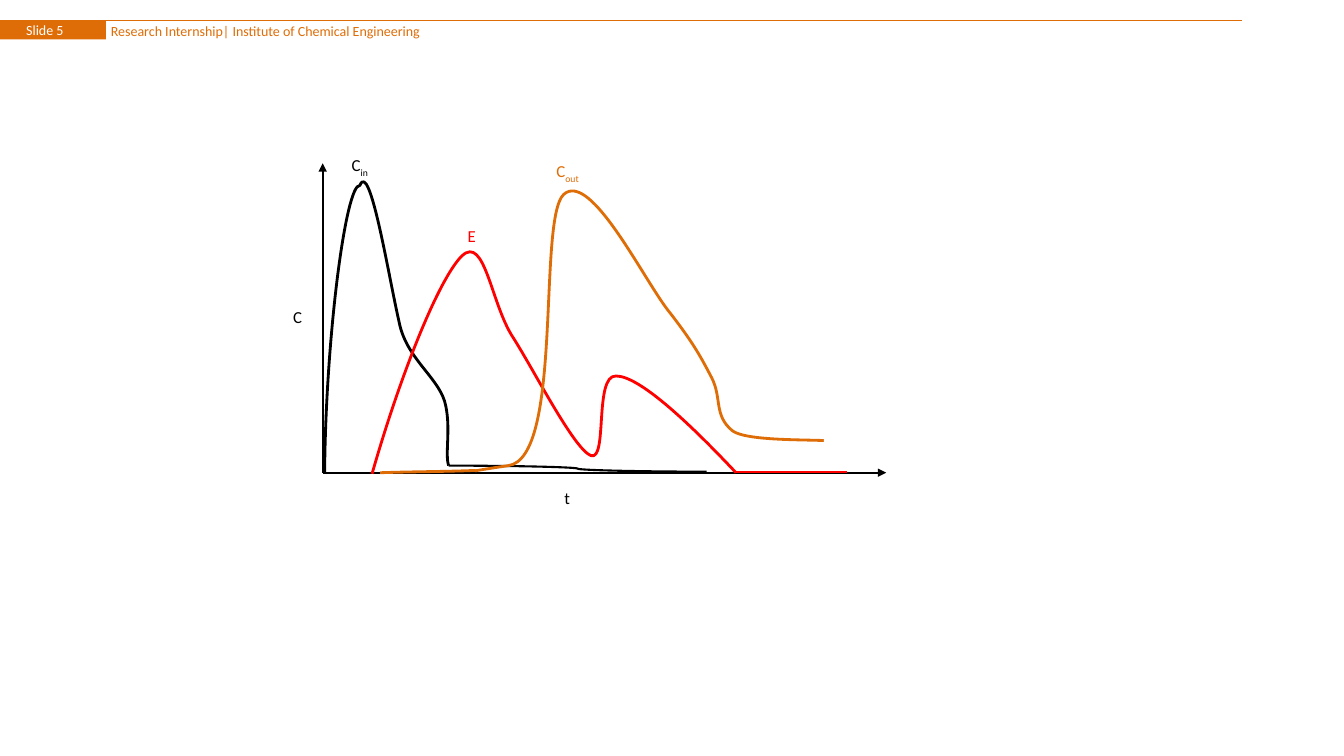
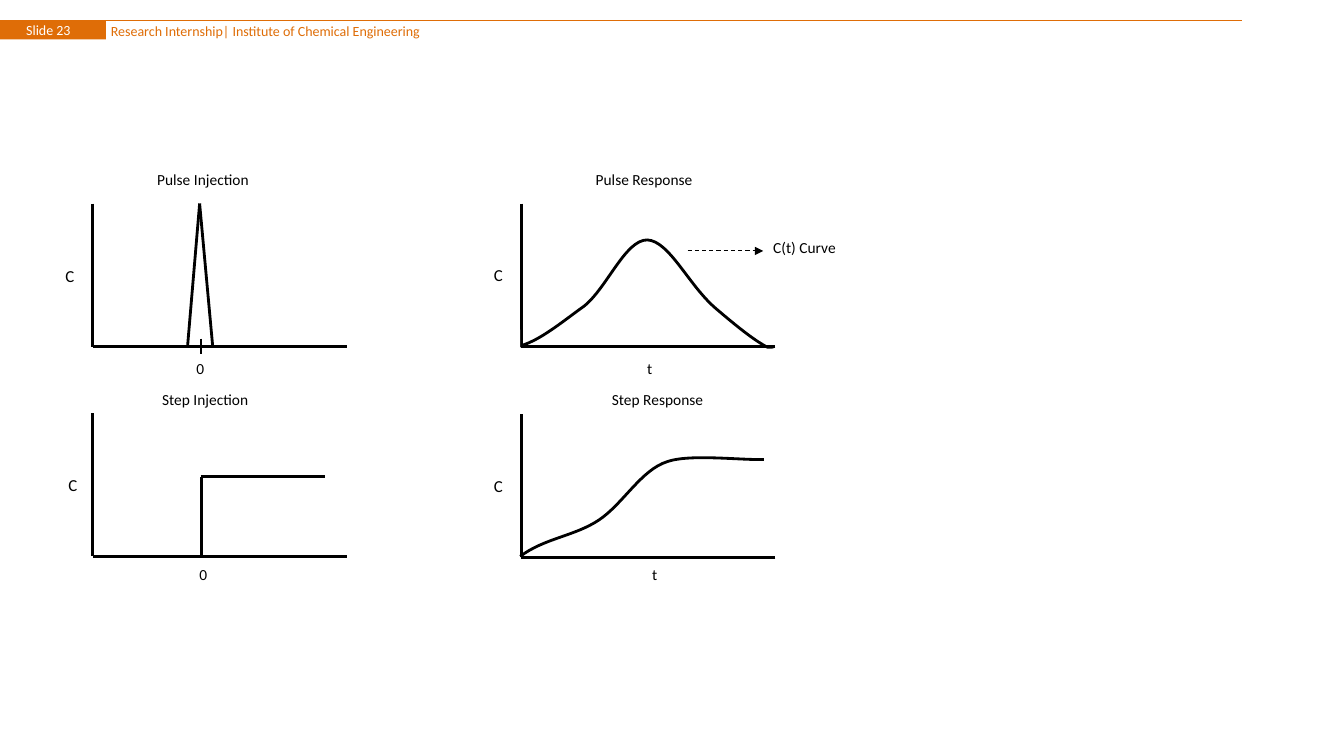
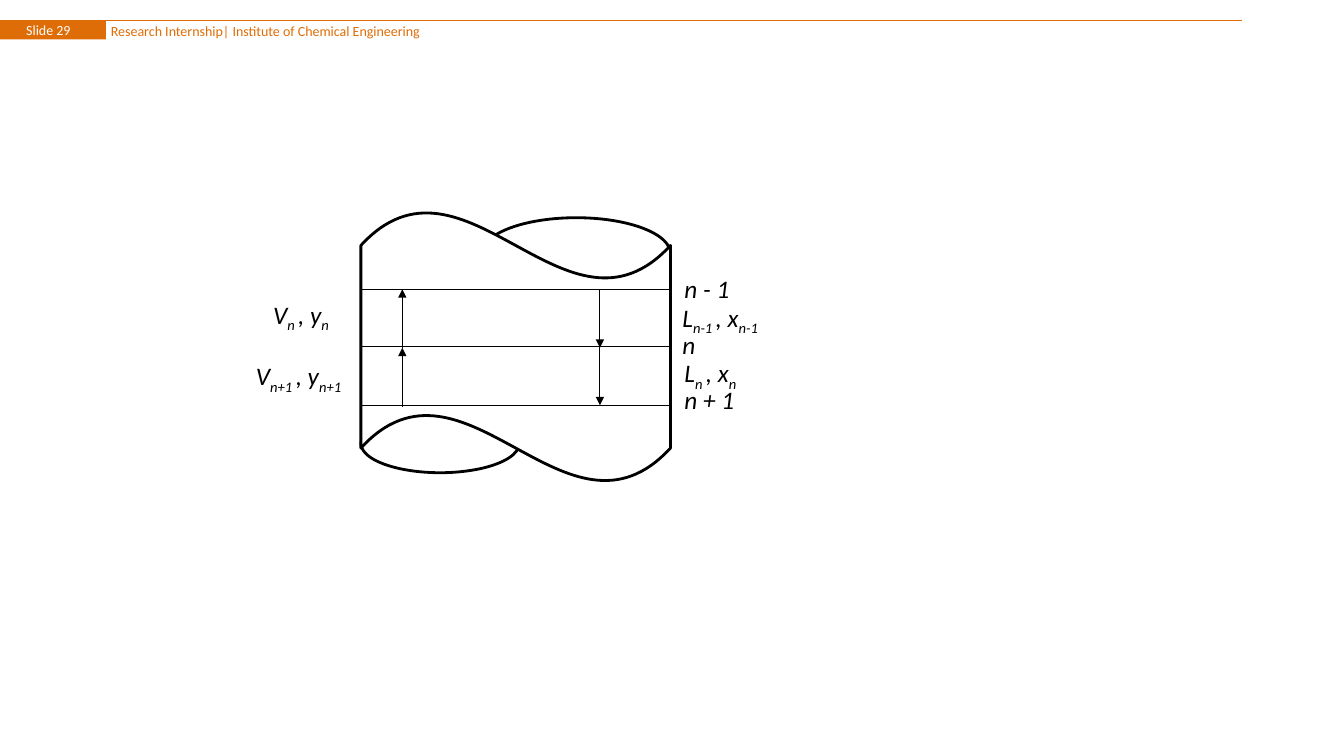
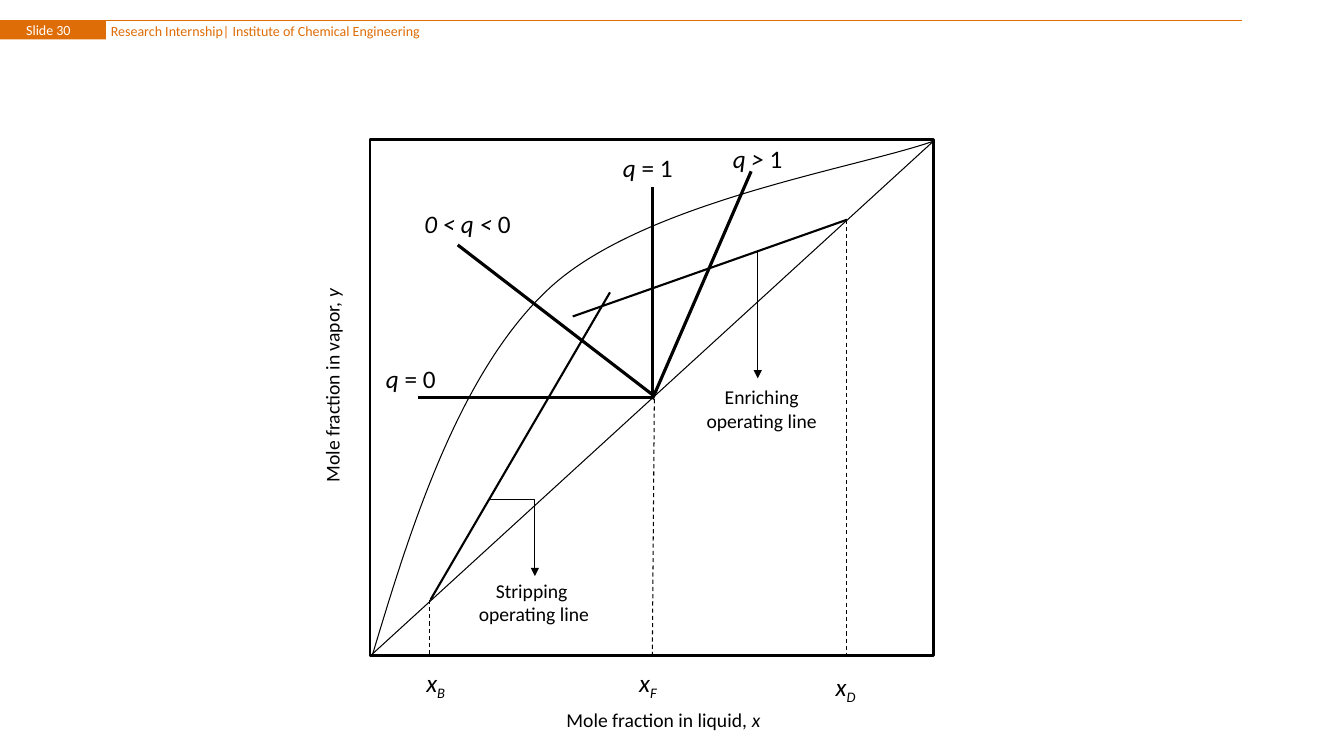
from dataclasses import dataclass
from typing import Optional, Sequence, Tuple, Union

from lxml.etree import SubElement
from pptx import Presentation
from pptx.dml.color import RGBColor
from pptx.enum.dml import MSO_LINE
from pptx.enum.shapes import MSO_CONNECTOR, MSO_SHAPE
from pptx.enum.text import MSO_AUTO_SIZE, PP_ALIGN
from pptx.oxml.ns import qn
from pptx.shapes.connector import Connector
from pptx.slide import Slide
from pptx.util import Pt

EMU_PER_PX = 9144  # 100 px to the inch
CURVE_STEPS = 24

Point = Tuple[int, int]
Bezier = Tuple[Point, Point, Point]
Box = Tuple[int, int, int, int]


@dataclass(frozen=True)
class Theme:
    font: str = "Calibri"
    accent: RGBColor = RGBColor(0xDF, 0x6D, 0x07)
    ink: RGBColor = RGBColor(0, 0, 0)
    red: RGBColor = RGBColor(0xFF, 0, 0)
    paper: RGBColor = RGBColor(0xFF, 0xFF, 0xFF)
    header_size: int = 10
    caption_size: int = 11
    axis_size: int = 12
    note_size: int = 14
    symbol_size: int = 18
    hairline: float = 0.75
    medium: float = 1.5
    heavy: float = 2
    bold: float = 2.25


THEME = Theme()


@dataclass(frozen=True)
class Run:
    text: str
    sub: bool = False
    italic: bool = False


Content = Union[str, Sequence[Run]]


@dataclass(frozen=True)
class Label:
    content: Content
    box: Box
    size: int = THEME.axis_size
    color: RGBColor = THEME.ink


@dataclass(frozen=True)
class Line:
    start: Point
    end: Point
    width: float = THEME.hairline
    color: RGBColor = THEME.ink
    arrow: bool = False
    dashed: bool = False
    kind: MSO_CONNECTOR = MSO_CONNECTOR.STRAIGHT


@dataclass(frozen=True)
class Curve:
    start: Point
    beziers: Sequence[Bezier]
    width: float = THEME.heavy
    color: RGBColor = THEME.ink


def px(length: float) -> int:
    return round(length * EMU_PER_PX)


def symbol(*parts: str) -> Sequence[Run]:
    """Italic runs that alternate between base line and subscript."""
    return [Run(part, sub=i % 2 == 1, italic=True) for i, part in enumerate(parts)]


# Drawing functions
def add_text(slide: Slide, content: Content, box: Box, *, size: int = THEME.axis_size,
             color: RGBColor = THEME.ink, align: Optional[PP_ALIGN] = None,
             wrap: bool = False, inset: Optional[int] = None, rotation: int = 0) -> None:
    text_box = slide.shapes.add_textbox(*map(px, box))
    text_box.rotation = rotation
    frame = text_box.text_frame
    frame.word_wrap = wrap
    frame.auto_size = MSO_AUTO_SIZE.SHAPE_TO_FIT_TEXT
    if inset is not None:
        frame.margin_left = frame.margin_right = px(inset)
        frame.margin_top = frame.margin_bottom = px(inset)
    if isinstance(content, str):
        lines = [[Run(line)] for line in content.split("\n")]
    else:
        lines = [content]
    for index, line in enumerate(lines):
        paragraph = frame.add_paragraph() if index else frame.paragraphs[0]
        paragraph.alignment = align
        for part in line:
            run = paragraph.add_run()
            run.text = part.text
            run.font.name = THEME.font
            run.font.size = Pt(size)
            run.font.color.rgb = color
            run.font.italic = part.italic
            if part.sub:
                run.font._element.set("baseline", "-25000")


def add_labels(slide: Slide, labels: Sequence[Label]) -> None:
    for label in labels:
        add_text(slide, label.content, label.box, size=label.size, color=label.color)


def add_line(slide: Slide, line: Line) -> Connector:
    connector = slide.shapes.add_connector(line.kind, *map(px, line.start + line.end))
    connector.line.color.rgb = line.color
    connector.line.width = Pt(line.width)
    if line.dashed:
        connector.line.dash_style = MSO_LINE.DASH
    if line.arrow:
        SubElement(connector.line._get_or_add_ln(), qn("a:tailEnd"), type="triangle")
    SubElement(connector._element.spPr, qn("a:effectLst"))
    return connector


def add_lines(slide: Slide, lines: Sequence[Line]) -> None:
    for line in lines:
        add_line(slide, line)


def add_turned_elbow(slide: Slide, box: Box, *, degrees: int, bend: int,
                     flipped: bool = False) -> None:
    """Elbow arrow in a turned box; bend is in thousandths of its length."""
    left, top, width, height = box
    elbow = add_line(slide, Line((left, top), (left + width, top + height),
                                 arrow=True, kind=MSO_CONNECTOR.ELBOW))
    properties = elbow._element.spPr
    frame = properties.find(qn("a:xfrm"))
    frame.set("rot", str(degrees * 60000))
    if flipped:
        frame.set("flipH", "1")
    adjustments = properties.find(qn("a:prstGeom")).get_or_add_avLst()
    SubElement(adjustments, qn("a:gd"), name="adj1", fmla=f"val {bend * 100}")


def add_box(slide: Slide, kind: MSO_SHAPE, box: Box, *, fill: RGBColor = THEME.paper,
            outline: Optional[float] = None) -> None:
    shape = slide.shapes.add_shape(kind, *map(px, box))
    shape.shadow.inherit = False
    shape.fill.solid()
    shape.fill.fore_color.rgb = fill
    if outline is None:
        shape.line.fill.background()
    else:
        shape.line.color.rgb = THEME.ink
        shape.line.width = Pt(outline)


def bezier_point(corners: Sequence[Point], t: float) -> Tuple[int, int]:
    weights = ((1 - t) ** 3, 3 * t * (1 - t) ** 2, 3 * t ** 2 * (1 - t), t ** 3)
    x, y = (px(sum(w * c[axis] for w, c in zip(weights, corners))) for axis in (0, 1))
    return x, y


def add_curve(slide: Slide, curve: Curve) -> None:
    # Sampled points give the tight frame of the curve
    samples = []
    start = curve.start
    for bezier in curve.beziers:
        corners = (start, *bezier)
        samples += [bezier_point(corners, step / CURVE_STEPS)
                    for step in range(1, CURVE_STEPS + 1)]
        start = bezier[-1]
    builder = slide.shapes.build_freeform(px(curve.start[0]), px(curve.start[1]))
    builder.add_line_segments(samples, close=False)
    shape = builder.convert_to_shape()
    # Inside that frame the segments become true cubic curves
    route = next(shape._element.iter(qn("a:path")))
    for segment in route.findall(qn("a:lnTo")):
        route.remove(segment)
    for bezier in curve.beziers:
        cubic = SubElement(route, qn("a:cubicBezTo"))
        for x, y in bezier:
            SubElement(cubic, qn("a:pt"), x=str(px(x) - shape.left),
                       y=str(px(y) - shape.top))
    shape.shadow.inherit = False
    shape.fill.background()
    shape.line.color.rgb = curve.color
    shape.line.width = Pt(curve.width)


def add_header(slide: Slide, number: int) -> None:
    add_line(slide, Line((0, 20), (1232, 20), color=THEME.accent))
    add_box(slide, MSO_SHAPE.RECTANGLE, (0, 20, 105, 19), fill=THEME.accent)
    add_text(slide, "Research Internship| Institute of Chemical Engineering",
             (110, 22, 880, 17), size=THEME.header_size, color=THEME.accent,
             wrap=True, inset=0)
    add_text(slide, f"Slide {number}", (26, 21, 82, 17), size=THEME.header_size,
             color=THEME.paper, wrap=True, inset=0)


# Concentration signals over time
def draw_signals(slide: Slide) -> None:
    origin = (320, 469)
    inlet = Curve((322, 470), [
        ((323, 335), (343, 182), (357, 184)), ((367, 158), (385, 272), (396, 320)),
        ((403, 355), (433, 373), (441, 398)), ((448, 423), (441, 450), (445, 462))])
    residence = Curve((369, 470), [
        ((397, 372), (435, 277), (458, 254)), ((481, 232), (487, 302), (509, 335)),
        ((530, 368), (569, 445), (586, 452)), ((603, 458), (589, 372), (611, 373)),
        ((634, 373), (683, 419), (730, 469))], color=THEME.red)
    outlet = Curve((377, 469), [
        ((406, 468), (435, 468), (464, 467)), ((485, 466), (450, 470), (504, 462)),
        ((559, 455), (533, 218), (559, 193)), ((586, 168), (640, 281), (665, 311)),
        ((689, 342), (696, 356), (706, 375)), ((716, 395), (708, 412), (726, 427)),
        ((745, 443), (871, 431), (823, 444))], color=THEME.accent)

    for axis_end in ((320, 162), (879, 469)):
        add_line(slide, Line(origin, axis_end, THEME.medium, arrow=True))
    add_curve(slide, inlet)
    add_curve(slide, residence)
    add_line(slide, Line((701, 468), (445, 462), THEME.medium, kind=MSO_CONNECTOR.CURVE))
    add_curve(slide, outlet)
    add_line(slide, Line((730, 468), (840, 468), THEME.medium, THEME.red))
    add_box(slide, MSO_SHAPE.RECTANGLE, (817, 433, 51, 24))  # trims the outlet curve
    add_labels(slide, [
        Label([Run("C"), Run("out", sub=True)], (542, 155, 45, 30), color=THEME.accent),
        Label([Run("C"), Run("in", sub=True)], (339, 149, 38, 30)),
        Label("E", (454, 219, 28, 30), color=THEME.red),
        Label("C", (281, 299, 29, 30)),
        Label("t", (550, 479, 26, 30))])


# Pulse and step injections with their responses
def draw_injections(slide: Slide) -> None:
    axis_width, axis_height = 252, 142
    for left, bottom in ((92, 344), (517, 344), (92, 552), (517, 553)):
        add_line(slide, Line((left, bottom - axis_height), (left, bottom), THEME.heavy))
        add_line(slide, Line((left + axis_width, bottom), (left, bottom), THEME.heavy))

    pulse_peak = (198, 202)
    add_lines(slide, [
        Line((186, 344), pulse_peak, THEME.heavy),
        Line((211, 344), pulse_peak, THEME.heavy),
        Line((199, 336), (199, 351), THEME.medium),
        Line((200, 552), (200, 473), THEME.heavy),
        Line((199, 473), (322, 473), THEME.heavy)])

    add_curve(slide, Curve((501, 344), [
        ((523, 349), (555, 321), (579, 304)), ((602, 286), (620, 238), (642, 238)),
        ((664, 239), (683, 283), (710, 306)), ((737, 329), (757, 345), (774, 350))]))
    add_curve(slide, Curve((516, 552), [
        ((540, 534), (570, 532), (594, 516)), ((618, 500), (636, 466), (662, 458)),
        ((688, 449), (750, 459), (768, 455))]))
    # Trim the ends of both responses
    for trim in ((378, 327, 138, 35), (688, 346, 138, 36), (758, 441, 24, 32)):
        add_box(slide, MSO_SHAPE.RECTANGLE, trim)

    add_line(slide, Line((682, 249), (757, 249), arrow=True, dashed=True))
    add_labels(slide, [Label("C", (left, top, 29, 30)) for left, top in
                       ((55, 259), (480, 258), (58, 466), (480, 467))])
    add_labels(slide, [Label(text, (left, top, width, 29), THEME.caption_size)
                       for text, left, top, width in (
                           ("0", 185, 351, 28), ("0", 188, 556, 28),
                           ("t", 632, 351, 25), ("t", 637, 556, 25),
                           ("Pulse Injection", 146, 164, 111),
                           ("Step Injection", 151, 382, 106),
                           ("Pulse Response", 581, 164, 117),
                           ("Step Response", 597, 382, 112),
                           ("C(t) Curve", 757, 231, 83))])


# Column section with three trays
def draw_column(slide: Slide) -> None:
    left, right = 358, 665
    for kind, box in ((MSO_SHAPE.OVAL, (478, 216, 187, 71)),
                      (MSO_SHAPE.OVAL, (358, 411, 157, 58)),
                      (MSO_SHAPE.WAVE, (left, 210, right - left, 268))):
        add_box(slide, kind, box, outline=THEME.heavy)

    trays = (287, 344, 402)
    for tray in trays:
        add_line(slide, Line((left, tray), (right, tray)))
    add_lines(slide, [
        Line((399, 345), (399, 287), arrow=True),  # vapor
        Line((399, 404), (399, 345), arrow=True),
        Line((595, 287), (595, 345), arrow=True),  # liquid
        Line((595, 344), (595, 402), arrow=True)])

    add_labels(slide, [Label(symbol(*parts), (x, y, width, 40), THEME.symbol_size)
                       for parts, x, y, width in (
                           (("V", "n ", ", y", "n"), 261, 292, 78),
                           (("V", "n+1 ", ", y", "n+1"), 244, 353, 112),
                           (("n - 1",), 669, 266, 65),
                           (("L", "n-1 ", ", x", "n-1"), 667, 295, 102),
                           (("n",), 667, 322, 34),
                           (("L", "n ", ", x", "n"), 669, 350, 75),
                           (("n + 1",), 669, 376, 70))])


# Equilibrium diagram with operating lines and q-lines
def draw_equilibrium(slide: Slide) -> None:
    add_box(slide, MSO_SHAPE.RECTANGLE, (367, 138, 559, 512), outline=THEME.heavy)
    add_line(slide, Line((367, 651), (927, 139)))
    add_curve(slide, Curve((369, 651), [((404, 535), (453, 370), (546, 285)),
                                        ((639, 200), (849, 167), (926, 140))],
                           THEME.hairline))
    q_lines = (((647, 186), (647, 395)), ((415, 394), (646, 394)),
               ((647, 396), (745, 170)), ((649, 393), (454, 243)))
    operating_lines = (((427, 595), (605, 290)), ((568, 314), (840, 218)))
    composition_lines = (((649, 396), (647, 651)), ((426, 595), (426, 652)),
                         ((840, 218), (840, 652)))
    add_lines(slide, [Line(*ends, width=THEME.bold) for ends in q_lines])
    add_lines(slide, [Line(*ends, width=THEME.medium) for ends in operating_lines])
    add_lines(slide, [Line(*ends, dashed=True) for ends in composition_lines])
    add_turned_elbow(slide, (689, 312, 126, 1), degrees=90, bend=-4)
    add_turned_elbow(slide, (469, 510, 79, 44), degrees=270, bend=37, flipped=True)

    add_labels(slide, [Label([Run(slanted, italic=True), Run(upright)],
                             (x, y, width, 40), THEME.symbol_size)
                       for slanted, upright, x, y, width in (
                           ("q ", "= 1", 608, 146, 70), ("q ", "= 0", 373, 356, 70),
                           ("q >", " 1", 717, 137, 70), ("0 < q <", " 0", 411, 202, 107))])
    add_labels(slide, [Label(symbol("x", stream), (x, y, width, 40), THEME.symbol_size)
                       for stream, x, y, width in (("B", 413, 657, 40), ("F", 624, 657, 39),
                                                   ("D", 819, 661, 41))])
    for section, x, y in (("Stripping ", 464, 569), ("Enriching", 690, 377)):
        add_text(slide, f"{section}\noperating line", (x, y, 131, 57),
                 size=THEME.note_size, align=PP_ALIGN.CENTER)
    for phase, variable, x, y, rotation in (("liquid", "x", 552, 697, 0),
                                            ("vapor", "y", 216, 358, 270)):
        add_text(slide, [Run(f"Mole fraction in {phase}, "), Run(variable, italic=True)],
                 (x, y, 227, 34), size=THEME.note_size, align=PP_ALIGN.JUSTIFY,
                 wrap=True, rotation=rotation)


def main() -> None:
    deck = Presentation()
    deck.slide_width, deck.slide_height = px(1333), px(750)
    blank_layout = deck.slide_layouts.get_by_name("Blank")
    for number, draw in ((5, draw_signals), (23, draw_injections),
                         (29, draw_column), (30, draw_equilibrium)):
        slide = deck.slides.add_slide(blank_layout)
        add_header(slide, number)
        draw(slide)
    deck.save("out.pptx")


if __name__ == "__main__":
    main()
